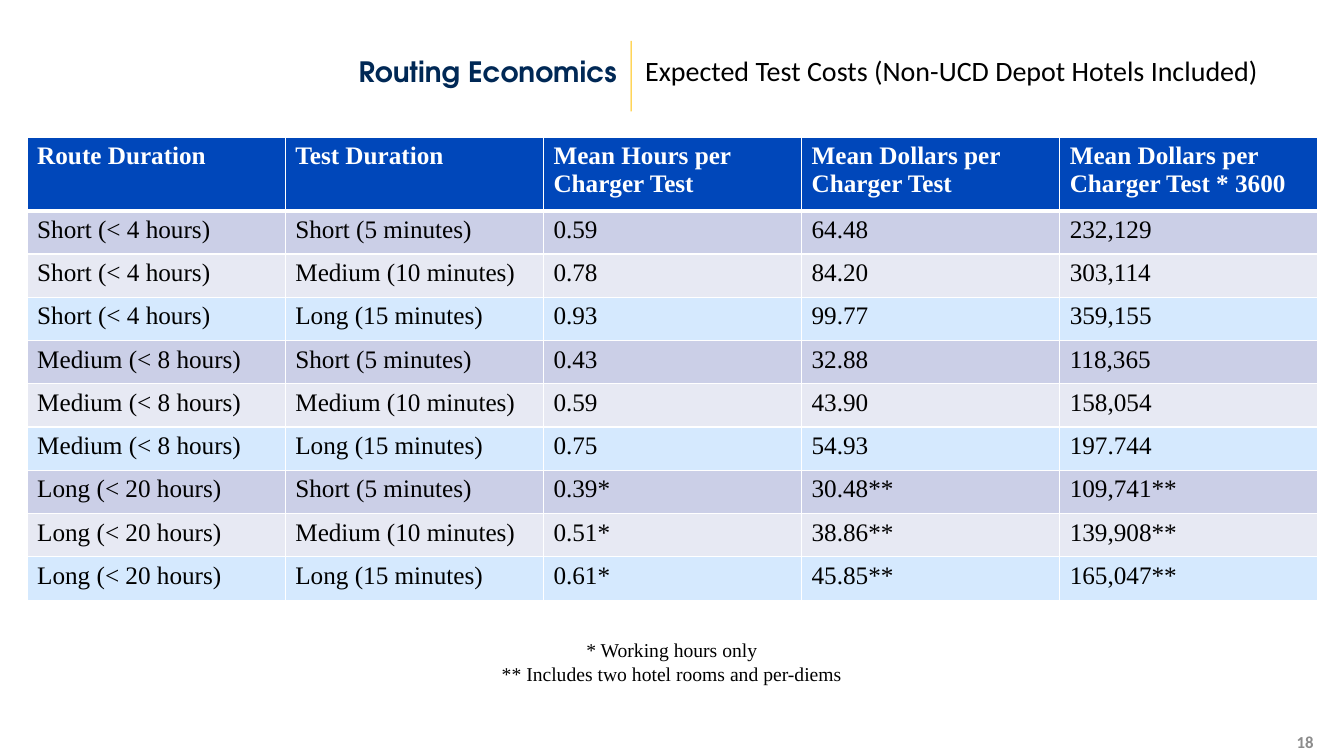
from itertools import product

from lxml.etree import SubElement
from pptx import Presentation
from pptx.dml.color import RGBColor
from pptx.enum.shapes import MSO_SHAPE
from pptx.enum.text import MSO_ANCHOR as Anchor, MSO_AUTO_SIZE as AutoSize, PP_ALIGN as Align
from pptx.oxml.ns import qn
from pptx.util import Pt

COLORS = {
    "navy": "002855", "gold": "FFBF00", "blue": "0047BA",
    "white": "FFFFFF", "black": "000000", "gray": "8C8C8C",
    "short": "CBCFE7", "medium": "E7E9F3", "long": "D5E9FE",
}
SERIF, SANS, DISPLAY = "Times New Roman", "Calibri", "TeX Gyre Adventor"

HEADERS = ["Route Duration", "Test Duration", "Mean Hours per Charger Test",
           "Mean Dollars per Charger Test", "Mean Dollars per Charger Test * 3600"]
ROUTES = ["Short (< 4 hours)", "Medium (< 8 hours)", "Long (< 20 hours)"]
TESTS = ["Short (5 minutes)", "Medium (10 minutes)", "Long (15 minutes)"]
RESULTS = [
    ("0.59", "64.48", "232,129"),
    ("0.78", "84.20", "303,114"),
    ("0.93", "99.77", "359,155"),
    ("0.43", "32.88", "118,365"),
    ("0.59", "43.90", "158,054"),
    ("0.75", "54.93", "197.744"),
    ("0.39*", "30.48**", "109,741**"),
    ("0.51*", "38.86**", "139,908**"),
    ("0.61*", "45.85**", "165,047**"),
]


def color(name):
    return RGBColor.from_string(COLORS[name])


def write(frame, text, font=SERIF, size=18, ink="black", bold=False,
          align=Align.LEFT, spacing=None, before=0):
    """Fill a text frame, one paragraph for each line of text."""
    frame.word_wrap = True
    frame.text = text
    for paragraph in frame.paragraphs:
        paragraph.alignment = align
        paragraph.line_spacing = spacing
        paragraph.space_before = Pt(before)
        for run in paragraph.runs:
            run.font.name = font
            run.font.size = Pt(size)
            run.font.bold = bold
            run.font.color.rgb = color(ink)


class SlideBuilder:
    def __init__(self, slide):
        self.slide = slide

    def placeholder(self, index, box, text, inset=7.2, **style):
        shape = self.slide.placeholders[index]
        shape.left, shape.top, shape.width, shape.height = map(Pt, box)
        frame = shape.text_frame
        frame.auto_size = AutoSize.NONE
        frame.vertical_anchor = Anchor.MIDDLE
        frame.margin_left = Pt(inset)
        write(frame, text, **style)
        for paragraph in frame.paragraphs:
            properties = paragraph._p.get_or_add_pPr()
            properties.set("marL", "0")
            properties.set("indent", "0")
            SubElement(properties, qn("a:buNone"))

    def text(self, box, text, anchor=Anchor.TOP, **style):
        frame = self.slide.shapes.add_textbox(*map(Pt, box)).text_frame
        frame.vertical_anchor = anchor
        write(frame, text, **style)

    def bar(self, box, fill):
        shape = self.slide.shapes.add_shape(MSO_SHAPE.RECTANGLE, *map(Pt, box))
        shape.shadow.inherit = False
        shape.fill.solid()
        shape.fill.fore_color.rgb = color(fill)
        shape.line.fill.background()

    def cell(self, cell, text, fill, top=1, bottom=1, **style):
        write(cell.text_frame, text, **style)
        # Borders come before the fill in the cell properties
        properties = cell._tc.get_or_add_tcPr()
        for side, width in (("L", 1), ("R", 1), ("T", top), ("B", bottom)):
            line = SubElement(properties, qn(f"a:ln{side}"), w=str(Pt(width)))
            paint = SubElement(line, qn("a:solidFill"))
            SubElement(paint, qn("a:srgbClr"), val=COLORS["white"])
        cell.fill.solid()
        cell.fill.fore_color.rgb = color(fill)

    def table(self, left, top, column_width, header_height, row_height, headers, rows, fills):
        height = header_height + row_height * len(rows)
        table = self.slide.shapes.add_table(
            len(rows) + 1, len(headers), Pt(left), Pt(top),
            Pt(column_width * len(headers)), Pt(height)).table
        for column in table.columns:
            column.width = Pt(column_width)
        for row in table.rows:
            row.height = Pt(row_height)
        table.rows[0].height = Pt(header_height)
        for column, header in enumerate(headers):
            self.cell(table.cell(0, column), header, "blue", bottom=3, ink="white", bold=True)
        for number, values in enumerate(rows, 1):
            fill = fills[(number - 1) % len(fills)]
            for column, value in enumerate(values):
                self.cell(table.cell(number, column), value, fill, top=3 if number == 1 else 1)


def main():
    presentation = Presentation()
    presentation.slide_width, presentation.slide_height = Pt(960), Pt(540)
    builder = SlideBuilder(presentation.slides.add_slide(presentation.slide_layouts[1]))
    for extra in list(builder.slide.placeholders)[2:]:
        extra.element.getparent().remove(extra.element)

    # Heading: title, divider, subtitle
    builder.placeholder(0, (19.4, 25.2, 428.4, 54), "Routing Economics", inset=43.2,
                        font=DISPLAY, size=20, ink="navy", bold=True,
                        align=Align.RIGHT, spacing=0.9, before=10)
    builder.bar((450.4, 29.2, 0.75, 50.4), "gold")
    builder.placeholder(1, (453.6, 25.2, 483.8, 54),
                        "Expected Test Costs (Non-UCD Depot Hotels Included)",
                        font=SANS, size=20, spacing=0.8)

    # Cost table: every route with every test duration
    rows = [(*durations, *result)
            for durations, result in zip(product(ROUTES, TESTS), RESULTS)]
    builder.table(19.4, 98, 184.4, 52.6, 30.9, HEADERS, rows, ("short", "medium", "long"))

    # Footnotes and page number
    builder.text((207.4, 452.2, 545, 41),
                 "* Working hours only\n** Includes two hotel rooms and per-diems",
                 size=14, align=Align.CENTER)
    builder.text((729.4, 519.8, 216, 20.2), "18", anchor=Anchor.MIDDLE,
                 font=SANS, size=12, ink="gray", bold=True, align=Align.RIGHT)

    presentation.save("out.pptx")


if __name__ == "__main__":
    main()
